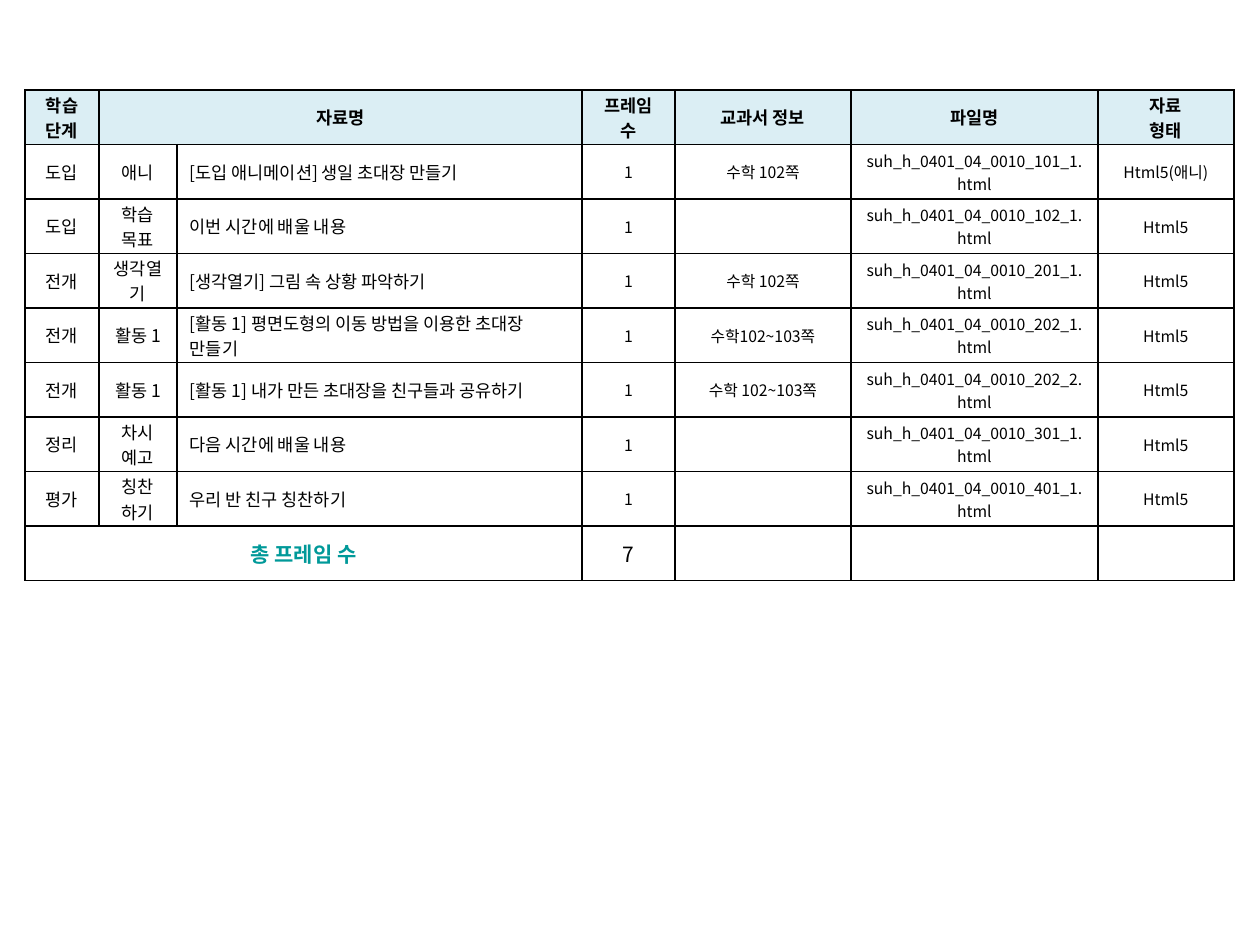
from lxml import etree
from pptx import Presentation
from pptx.dml.color import RGBColor
from pptx.enum.text import MSO_ANCHOR, PP_ALIGN
from pptx.oxml.ns import qn
from pptx.util import Emu, Pt

PX = 914400 // 126
LEFT, CENTER = PP_ALIGN.LEFT, PP_ALIGN.CENTER
MIDDLE = MSO_ANCHOR.MIDDLE

BLACK = RGBColor(0x00, 0x00, 0x00)
TEAL = RGBColor(0x00, 0x99, 0x99)
PALE_BLUE = RGBColor(0xDB, 0xEE, 0xF4)

COLUMN_WIDTHS = [74, 78, 405, 93, 176, 247, 136]
NAME_COLUMN = 2
HEADER = ["학습 단계", "자료명", "", "프레임 수", "교과서 정보", "파일명", "자료\n형태"]

# Stage, activity, material name, textbook pages, file number, format
MATERIALS = [
    ("도입", "애니", "[도입 애니메이션] 생일 초대장 만들기", "수학 102쪽", "101_1", "Html5(애니)"),
    ("도입", "학습 목표", "이번 시간에 배울 내용", "", "102_1", "Html5"),
    ("전개", "생각열기", "[생각열기] 그림 속 상황 파악하기", "수학 102쪽", "201_1", "Html5"),
    ("전개", "활동 1", "[활동 1] 평면도형의 이동 방법을 이용한 초대장 만들기",
     "수학102~103쪽", "202_1", "Html5"),
    ("전개", "활동 1", "[활동 1] 내가 만든 초대장을 친구들과 공유하기",
     "수학 102~103쪽", "202_2", "Html5"),
    ("정리", "차시 예고", "다음 시간에 배울 내용", "", "301_1", "Html5"),
    ("평가", "칭찬\n하기", "우리 반 친구 칭찬하기", "", "401_1", "Html5"),
]


class SlideBuilder:
    """Holds the table style and the current page."""

    font = "Noto Sans CJK KR"
    side_margin = Emu(13 * PX)
    end_margin = Emu(PX)  # keeps two lines inside a row
    border = Pt(1)

    def __init__(self, page):
        self.page = page

    def table(self, left, top, height, rows, widths):
        frame = self.page.shapes.add_table(
            rows, len(widths), Emu(left * PX), Emu(top * PX),
            Emu(sum(widths) * PX), Emu(height * PX))
        table = frame.table
        table.first_row = table.horz_banding = False
        for column, width in zip(table.columns, widths):
            column.width = Emu(width * PX)
        return table

    def cell(self, cell, text, size, align=CENTER, bold=False, color=BLACK, fill=None):
        cell.vertical_anchor = MIDDLE
        cell.margin_left = cell.margin_right = self.side_margin
        cell.margin_top = cell.margin_bottom = self.end_margin
        cell.text_frame.text = text
        for para in cell.text_frame.paragraphs:
            para.alignment = align
            for span in para.runs:
                span.font.name = self.font
                span.font.size = Pt(size)
                span.font.bold = bold
                span.font.color.rgb = color
                east_asian = etree.SubElement(span.font._element, qn("a:ea"))
                east_asian.set("typeface", self.font)
            if not para.runs:
                end = etree.SubElement(para._p, qn("a:endParaRPr"))
                end.set("sz", str(size * 100))
        self.borders(cell)
        if fill is None:
            cell.fill.background()
        else:
            cell.fill.solid()
            cell.fill.fore_color.rgb = fill

    def borders(self, cell):
        properties = cell._tc.get_or_add_tcPr()
        for side in ("a:lnL", "a:lnR", "a:lnT", "a:lnB"):
            line = etree.SubElement(properties, qn(side), w=str(self.border))
            solid = etree.SubElement(line, qn("a:solidFill"))
            etree.SubElement(solid, qn("a:srgbClr"), val=str(BLACK))


def main():
    deck = Presentation()
    deck.slide_width, deck.slide_height = Emu(1260 * PX), Emu(945 * PX)
    builder = SlideBuilder(deck.slides.add_slide(deck.slide_layouts[6]))

    table = builder.table(25, 90, 491, len(MATERIALS) + 2, COLUMN_WIDTHS)
    total_row = len(MATERIALS) + 1

    # Header
    for column, text in enumerate(HEADER):
        builder.cell(table.cell(0, column), text, 10, bold=True, fill=PALE_BLUE)
    table.cell(0, 1).merge(table.cell(0, NAME_COLUMN))

    # Materials
    for row, (stage, activity, name, pages, number, kind) in enumerate(MATERIALS, 1):
        file_name = f"suh_h_0401_04_0010_{number}.html"
        texts = [stage, activity, name, "1", pages, file_name, kind]
        for column, text in enumerate(texts):
            builder.cell(table.cell(row, column), text,
                         size=10 if column <= NAME_COLUMN else 9,
                         align=LEFT if column == NAME_COLUMN else CENTER)

    # Total
    totals = ["총 프레임 수", "", "", str(len(MATERIALS)), "", "", ""]
    for column, text in enumerate(totals):
        is_label = column == 0
        builder.cell(table.cell(total_row, column), text, 12, bold=is_label,
                     color=TEAL if is_label else BLACK)
    table.cell(total_row, 0).merge(table.cell(total_row, NAME_COLUMN))

    deck.save("out.pptx")


if __name__ == "__main__":
    main()
